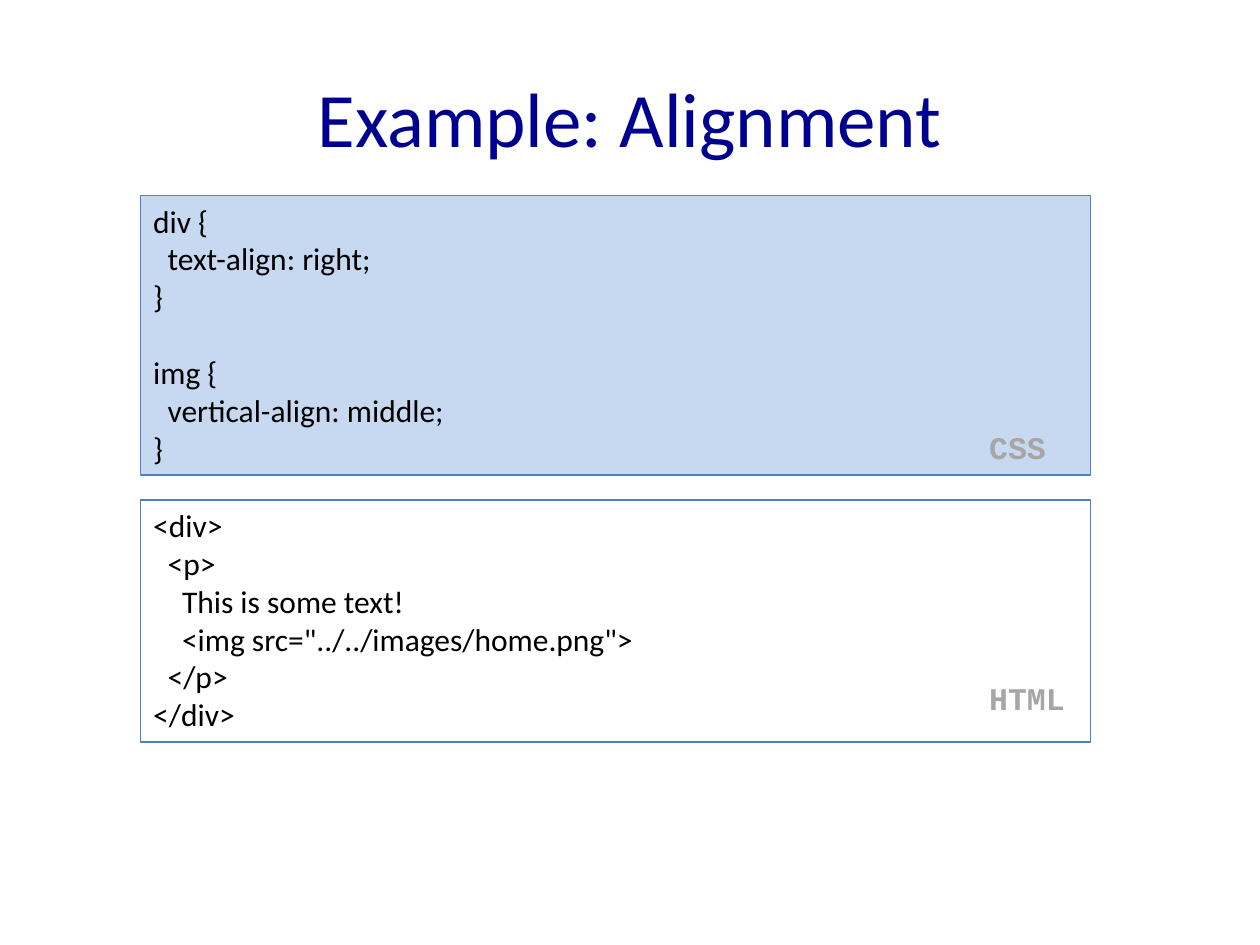
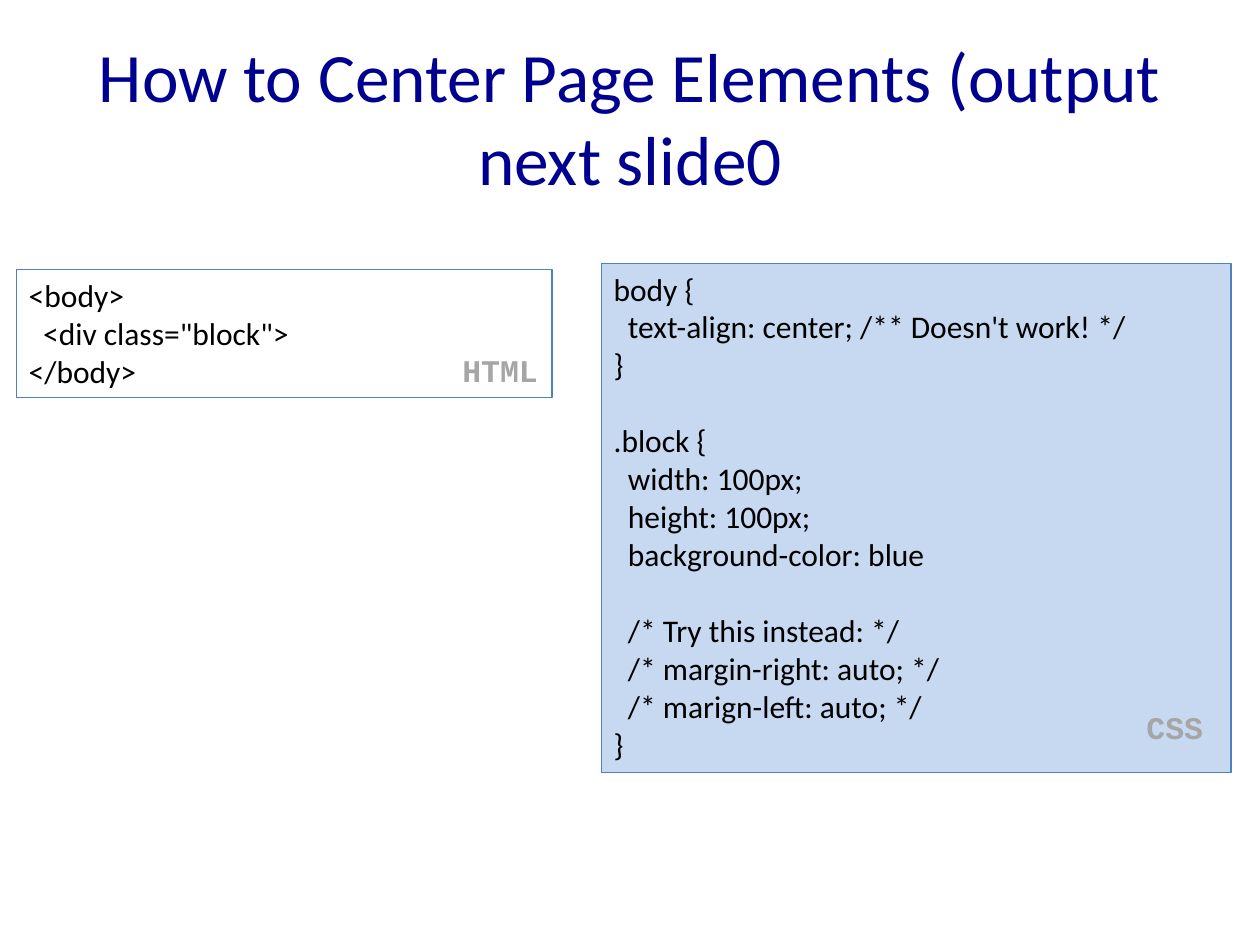
from dataclasses import dataclass

from pptx import Presentation
from pptx.dml.color import RGBColor
from pptx.enum.shapes import MSO_SHAPE
from pptx.enum.text import MSO_ANCHOR, MSO_AUTO_SIZE, PP_ALIGN
from pptx.util import Cm, Pt

RECTANGLE = MSO_SHAPE.RECTANGLE
TOP, MIDDLE = MSO_ANCHOR.TOP, MSO_ANCHOR.MIDDLE
FIT_TEXT = MSO_AUTO_SIZE.SHAPE_TO_FIT_TEXT
LEFT, CENTER = PP_ALIGN.LEFT, PP_ALIGN.CENTER

BODY_FONT, CODE_FONT = "Calibri", "Courier New"
NAVY, BLACK, GRAY = "000090", "000000", "A6A6A6"
BORDER, PALE_BLUE = "4F81BD", "C6D9F1"
CODE_SIZE = 18
LINE_HEIGHT = Pt(22)
INDENT_STEP = Cm(0.145)
LABEL_HEIGHT = 1.02


@dataclass(frozen=True)
class Language:
    name: str
    fill: str | None
    label_width: float


@dataclass(frozen=True)
class CodeBox:
    language: Language
    left: float
    top: float
    width: float
    height: float
    label_left: float
    label_top: float
    code: str


@dataclass(frozen=True)
class CodeSlide:
    title: str
    title_size: float
    boxes: tuple[CodeBox, ...]


CSS = Language("CSS", PALE_BLUE, 1.68)
HTML = Language("HTML", None, 2.06)

ALIGN_CSS = """div {
  text-align: right;
}

img {
  vertical-align: middle;
}"""

ALIGN_HTML = """<div>
  <p>
    This is some text!
    <img src="../../images/home.png">
  </p>
</div>"""

CENTER_CSS = """body {
  text-align: center; /** Doesn't work! */
}

.block {
  width: 100px;
  height: 100px;
  background-color: blue

  /* Try this instead: */
  /* margin-right: auto; */
  /* marign-left: auto; */
}"""

CENTER_HTML = """<body>
  <div class="block">
</body>"""

SLIDES = (
    CodeSlide("Example: Alignment", 44, (
        CodeBox(CSS, 2.84, 3.94, 19.15, 5.64, 19.69, 8.51, ALIGN_CSS),
        CodeBox(HTML, 2.84, 10.08, 19.15, 4.88, 19.69, 13.56, ALIGN_HTML),
    )),
    CodeSlide("How to Center Page Elements (output next slide0", 39.6, (
        CodeBox(CSS, 12.12, 5.31, 12.7, 10.26, 22.86, 14.15, CENTER_CSS),
        CodeBox(HTML, 0.33, 5.44, 10.8, 2.57, 9.07, 6.96, CENTER_HTML),
    )),
)


def rgb(color: str) -> RGBColor:
    return RGBColor.from_string(color)


def add_run(p, text: str, size: float, color: str,
            font: str = BODY_FONT, bold: bool = False) -> None:
    r = p.add_run()
    r.text = text
    r.font.name = font
    r.font.size = Pt(size)
    r.font.bold = bold
    r.font.color.rgb = rgb(color)


def add_title(s, title: str, size: float) -> None:
    tf = s.shapes.add_textbox(Cm(1.27), Cm(0.76), Cm(22.86), Cm(3.18)).text_frame
    tf.word_wrap = True
    tf.vertical_anchor = MIDDLE
    p = tf.paragraphs[0]
    p.alignment = CENTER
    add_run(p, title, size, NAVY)


def add_code(tf, code: str) -> None:
    p, gap = tf.paragraphs[0], 0
    for number, line in enumerate(code.splitlines()):
        text = line.lstrip()
        if not text:
            gap += LINE_HEIGHT
            continue
        if number:
            p = tf.add_paragraph()
        p.alignment = LEFT
        p.space_before = gap
        depth = len(line) - len(text)
        p._p.get_or_add_pPr().set("marL", str(depth * INDENT_STEP))
        add_run(p, text, CODE_SIZE, BLACK)
        gap = Pt(0)


def add_code_box(s, box: CodeBox) -> None:
    sp = s.shapes.add_shape(RECTANGLE, Cm(box.left), Cm(box.top),
                            Cm(box.width), Cm(box.height))
    sp.shadow.inherit = False
    if box.language.fill:
        sp.fill.solid()
        sp.fill.fore_color.rgb = rgb(box.language.fill)
    else:
        sp.fill.background()
    sp.line.color.rgb = rgb(BORDER)
    sp.line.width = Pt(0.75)
    tf = sp.text_frame
    tf.word_wrap = True
    tf.auto_size = FIT_TEXT
    tf.vertical_anchor = TOP
    add_code(tf, box.code)


def add_label(s, box: CodeBox) -> None:
    tf = s.shapes.add_textbox(Cm(box.label_left), Cm(box.label_top),
                              Cm(box.language.label_width),
                              Cm(LABEL_HEIGHT)).text_frame
    tf.word_wrap = False
    tf.auto_size = FIT_TEXT
    add_run(tf.paragraphs[0], box.language.name, CODE_SIZE, GRAY, CODE_FONT, True)


def main() -> None:
    prs = Presentation()
    prs.slide_width, prs.slide_height = Cm(25.4), Cm(19.05)
    for content in SLIDES:
        s = prs.slides.add_slide(prs.slide_layouts[6])
        add_title(s, content.title, content.title_size)
        for box in content.boxes:
            add_code_box(s, box)
        for box in content.boxes:
            add_label(s, box)
    prs.save("out.pptx")


if __name__ == "__main__":
    main()
